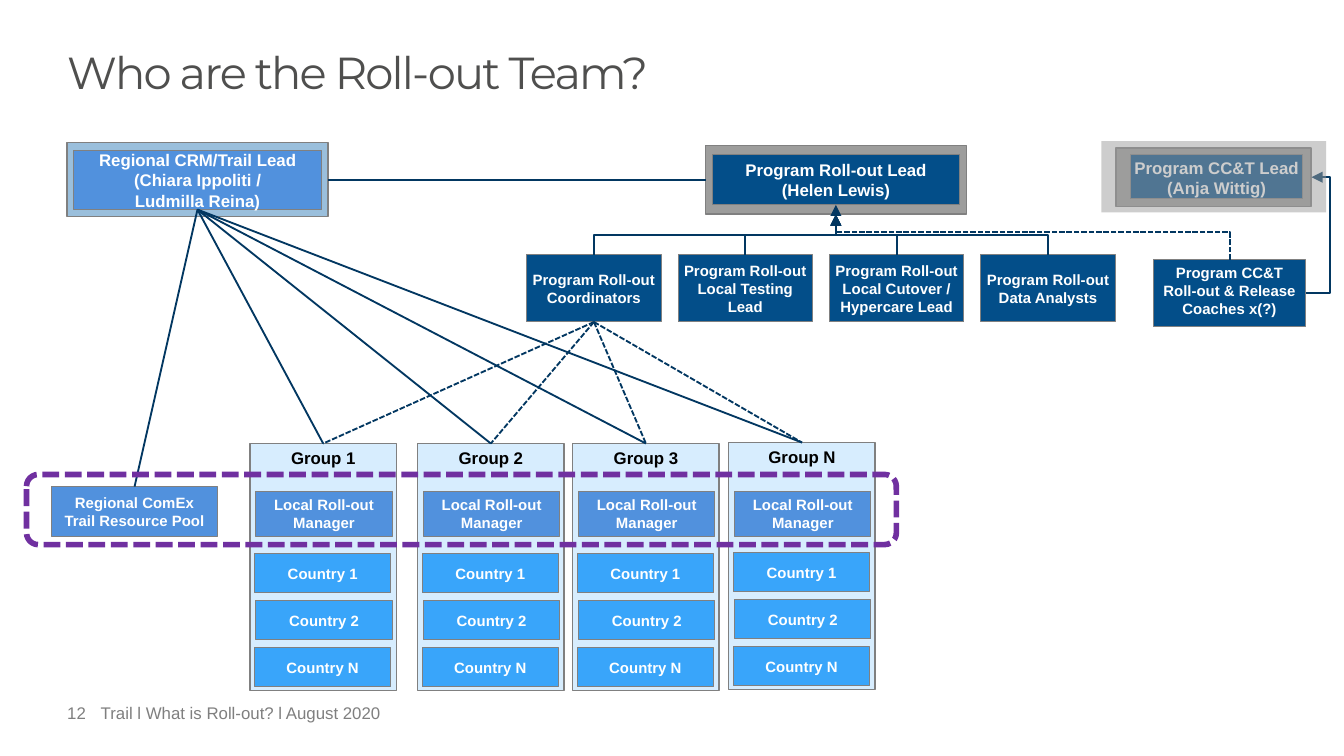
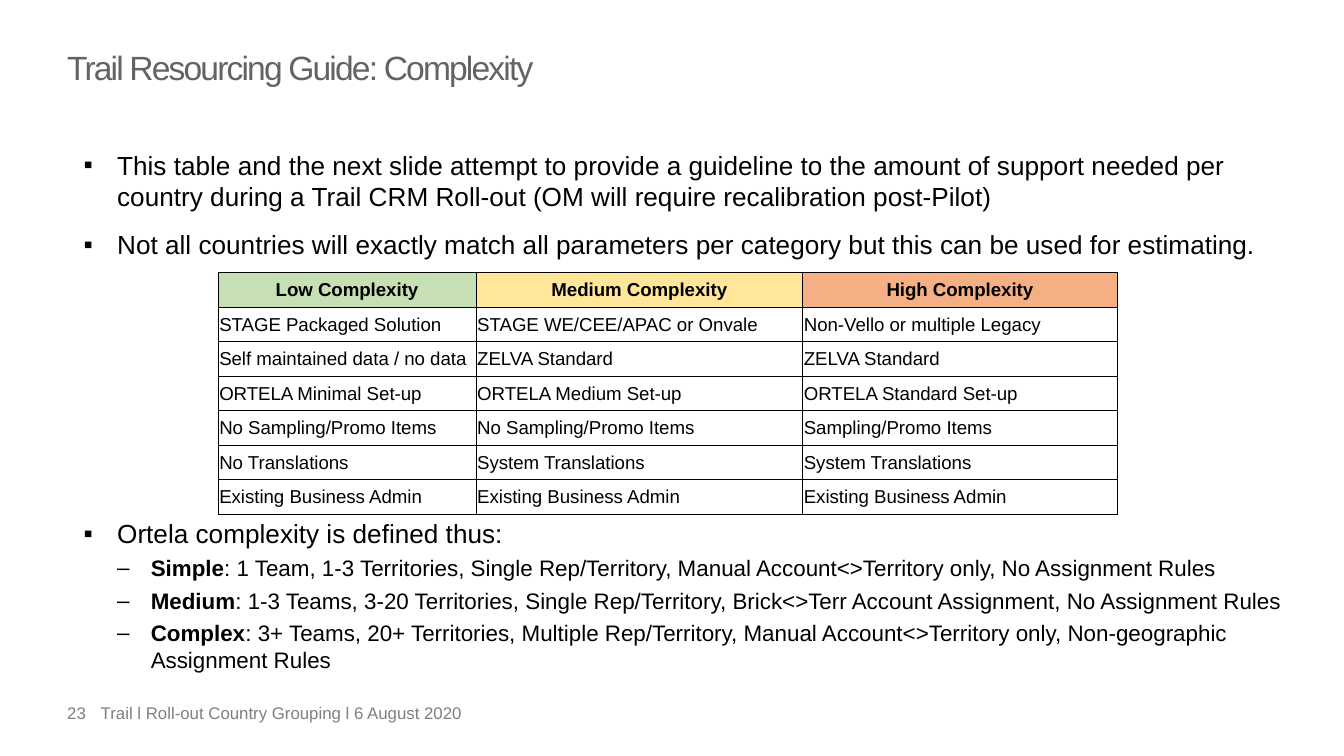
from dataclasses import dataclass

from lxml import etree
from pptx import Presentation
from pptx.dml.color import RGBColor
from pptx.enum import dml, shapes, text
from pptx.oxml import ns
from pptx.util import Pt


@dataclass(frozen=True)
class Theme:
    font: str = "Arial"
    display: str = "Montserrat"
    title: str = "4F4F4E"
    subtitle: str = "636363"
    footer: str = "7F7F7F"
    black: str = "000000"
    white: str = "FFFFFF"
    gray: str = "9D9D9C"
    edge: str = "808080"
    link: str = "023761"
    navy: str = "034E89"
    blue: str = "5191DD"
    haze: str = "9ABFDC"
    sky: str = "39A5FA"
    ice: str = "D7EDFE"
    purple: str = "7030A0"
    low: str = "C6E0B4"
    medium: str = "FFE699"
    high: str = "F4B084"
    title_size: int = 24
    subtitle_size: int = 18
    body_size: int = 14
    detail_size: int = 12
    table_size: int = 10
    lead_size: int = 9
    box_size: int = 8


THEME = Theme()

TEAM_TITLE = "Who are the Roll-out Team?"
TEAM_FOOTER = ("12", "Trail l What is Roll-out? l August 2020")
REGIONAL_LEAD = "Regional CRM/Trail Lead\n(Chiara Ippoliti /\nLudmilla Reina)"
PROGRAM_LEAD = "Program Roll-out Lead\n(Helen Lewis)"
CCT_LEAD = "Program CC&T Lead\n(Anja Wittig)"
COACHES = "Program CC&T Roll-out & Release Coaches x(?)"
POOL = "Regional ComEx\nTrail Resource Pool"
PROGRAM_ROLES = [
    "Program Roll-out\nCoordinators",
    "Program Roll-out\nLocal Testing Lead",
    "Program Roll-out\nLocal Cutover / Hypercare Lead",
    "Program Roll-out\nData Analysts",
]
GROUPS = [
    ("Group 1", 133.9, 237.6),
    ("Group 2", 223.7, 237.6),
    ("Group 3", 306.8, 237.6),
    ("Group N", 390.4, 237.1),
]
MANAGER = "Local Roll-out Manager"
COUNTRIES = [("Country 1", 2.5), ("Country 2", 3.2), ("Country N", 2.5)]

GUIDE_TITLE = "Trail Resourcing Guide: Complexity"
GUIDE_FOOTER = ("23", "Trail l Roll-out Country Grouping l 6 August 2020")
BULLETS = [
    (0, 9, "", "This table and the next slide attempt to provide a guideline to the amount "
     "of support needed per country during a Trail CRM Roll-out "
     "(OM will require recalibration post-Pilot)"),
    (0, 9, "", "Not all countries will exactly match all parameters per category "
     "but this can be used for estimating."),
    (0, 138, "", "Ortela complexity is defined thus:"),
    (1, 3, "Simple", ": 1 Team, 1-3 Territories, Single Rep/Territory, "
     "Manual Account<>Territory only, No Assignment Rules"),
    (1, 3, "Medium", ": 1-3 Teams, 3-20 Territories, Single Rep/Territory, "
     "Brick<>Terr Account Assignment, No Assignment Rules"),
    (1, 3, "Complex", ": 3+ Teams, 20+ Territories, Multiple Rep/Territory, "
     "Manual Account<>Territory only, Non-geographic Assignment Rules"),
]
LEVELS = [("▪", THEME.body_size), ("–", THEME.detail_size)]
COLUMNS = [
    ("Low Complexity", THEME.low, 138.2),
    ("Medium Complexity", THEME.medium, 175),
    ("High Complexity", THEME.high, 168.5),
]
ROWS = [
    ("STAGE Packaged Solution", "STAGE WE/CEE/APAC or Onvale", "Non-Vello or multiple Legacy"),
    ("Self maintained data / no data", "ZELVA Standard", "ZELVA Standard"),
    ("ORTELA Minimal Set-up", "ORTELA Medium Set-up", "ORTELA Standard Set-up"),
    ("No Sampling/Promo Items", "No Sampling/Promo Items", "Sampling/Promo Items"),
    ("No Translations", "System Translations", "System Translations"),
    ("Existing Business Admin", "Existing Business Admin", "Existing Business Admin"),
]
ROW_HEIGHT = 18.5


def rgb(value):
    return RGBColor.from_string(value)


def add_xml(parent, tag, **attributes):
    return etree.SubElement(parent, ns.qn(tag), attributes)


def format_run(run, size, color, bold=False, font=THEME.font):
    run.font.name, run.font.size, run.font.bold = font, Pt(size), bold
    run.font.color.rgb = rgb(color)


def set_margins(target, *margins):
    target.margin_left, target.margin_top, target.margin_right, target.margin_bottom = map(Pt, margins)


def add_label(slide, bounds, content, size, color, font=THEME.font):
    shape = slide.shapes.add_textbox(*map(Pt, bounds))
    frame = shape.text_frame
    frame.word_wrap = True
    set_margins(frame, 0, 0, 0, 0)
    frame.text = content
    format_run(frame.paragraphs[0].runs[0], size, color, font=font)
    return frame.paragraphs[0]


def add_frame(presentation, title, size, color, font, footer):
    slide = presentation.slides.add_slide(presentation.slide_layouts[6])
    paragraph = add_label(slide, (36, 27.4, 648, 75.6), title, size, color, font)
    paragraph.line_spacing = 0.9
    paragraph.runs[0].font._element.set("spc", "-100")
    for content, left, width in zip(footer, (36, 54), (18, 299)):
        add_label(slide, (left, 376.6, width, 18), content, THEME.lead_size, THEME.footer)
    return slide


def add_box(slide, bounds, fill, content="", size=THEME.box_size, color=THEME.white,
            anchor=text.MSO_ANCHOR.MIDDLE, line=0.5):
    shape = slide.shapes.add_shape(shapes.MSO_SHAPE.RECTANGLE, *map(Pt, bounds))
    shape.shadow.inherit = False
    shape.fill.solid()
    shape.fill.fore_color.rgb = rgb(fill)
    if line:
        shape.line.color.rgb, shape.line.width = rgb(THEME.edge), Pt(line)
    else:
        shape.line.fill.background()
    if content:
        frame = shape.text_frame
        frame.word_wrap, frame.vertical_anchor = True, anchor
        set_margins(frame, 2, 2, 2, 2)
        frame.text = content
        for paragraph in frame.paragraphs:
            paragraph.alignment = text.PP_ALIGN.CENTER
            format_run(paragraph.runs[0], size, color, True)
    return shape


def add_line(slide, kind, begin, end, dashed=False, arrow=None):
    line = slide.shapes.add_connector(kind, *map(Pt, (*begin, *end)))
    line.line.color.rgb, line.line.width = rgb(THEME.link), Pt(1)
    if dashed:
        line.line.dash_style = dml.MSO_LINE.SQUARE_DOT
    if arrow:
        add_xml(line.line._get_or_add_ln(), arrow, type="triangle")
    add_xml(line._element.spPr, "a:effectLst")
    return line


def join(slide, first, first_side, second, second_side, dashed=False):
    line = add_line(slide, shapes.MSO_CONNECTOR.STRAIGHT, (0, 0), (0, 0), dashed)
    line.begin_connect(first, first_side)
    line.end_connect(second, second_side)


def add_vertical_elbow(slide, begin, end, dashed=False, arrow=None):
    dx, dy = end[0] - begin[0], end[1] - begin[1]
    middle_x, middle_y = begin[0] + dx / 2, begin[1] + dy / 2
    turn, across, down = (90, dy, -dx) if dx < 0 < dy else (270, -dy, dx)
    line = add_line(slide, shapes.MSO_CONNECTOR.ELBOW,
                    (middle_x - across / 2, middle_y - down / 2),
                    (middle_x + across / 2, middle_y + down / 2), dashed, arrow)
    line._element.spPr.find(ns.qn("a:xfrm")).set("rot", str(turn * 60000))


def add_group(slide, name, left, top):
    high = text.MSO_ANCHOR.TOP
    group = add_box(slide, (left, top, 78.5, 132.5), THEME.ice, name, THEME.lead_size,
                    THEME.black, high, 0.75)
    add_box(slide, (left + 3.2, 263.3, 73, 24), THEME.blue, MANAGER, anchor=high)
    for index, (country, inset) in enumerate(COUNTRIES):
        add_box(slide, (left + inset, top + 59 + 25.2 * index, 73, 21), THEME.sky, country)
    return group


def build_team(presentation):
    slide = add_frame(presentation, TEAM_TITLE, THEME.title_size, THEME.title, THEME.display,
                      TEAM_FOOTER)
    high, lead = text.MSO_ANCHOR.TOP, THEME.lead_size
    add_box(slide, (597.8, 79.2, 104.6, 31.5), THEME.gray, line=0.75)
    program_frame = add_box(slide, (378, 78, 139.7, 36.6), THEME.gray, line=0.75)
    regional_frame = add_box(slide, (36, 76.5, 139.7, 39.6), THEME.haze, line=0.75)
    regional = add_box(slide, (39.4, 80.7, 132.8, 31.6), THEME.blue, REGIONAL_LEAD, lead)
    add_box(slide, (381.6, 82.9, 132.5, 26.6), THEME.navy, PROGRAM_LEAD, lead)
    roles = [add_box(slide, (282.2 + 81.1 * index, 136.5, 72, 36), THEME.navy, role)
             for index, role in enumerate(PROGRAM_ROLES)]
    for index in range(len(roles)):
        add_vertical_elbow(slide, (447.8, 115), (318.2 + 81.1 * index, 136.5), arrow="a:headEnd")
    join(slide, regional_frame, 3, program_frame, 1)

    groups = [add_group(slide, *group) for group in GROUPS]
    pool = add_box(slide, (27.4, 260.7, 89.4, 26.6), THEME.blue, POOL)
    for target in groups + [pool]:
        join(slide, regional, 2, target, 0)
    for group in groups:
        join(slide, roles[0], 2, group, 0, True)
    ring = slide.shapes.add_shape(shapes.MSO_SHAPE.ROUNDED_RECTANGLE,
                                  Pt(14.2), Pt(254.2), Pt(466), Pt(37.6))
    ring.shadow.inherit = False
    ring.fill.background()
    ring.line.color.rgb, ring.line.width = rgb(THEME.purple), Pt(3)
    ring.line.dash_style = dml.MSO_LINE.SQUARE_DOT

    add_box(slide, (618, 139.2, 81.4, 36), THEME.navy, COACHES, anchor=high)
    add_box(slide, (605.6, 82.6, 92.2, 23.8), THEME.navy, CCT_LEAD, lead, anchor=high)
    add_vertical_elbow(slide, (658.8, 139.2), (447.8, 109.8), True, "a:tailEnd")
    side = add_line(slide, shapes.MSO_CONNECTOR.ELBOW, (699.5, 157.2), (702.6, 95),
                    arrow="a:tailEnd")
    guides = side._element.spPr.find(ns.qn("a:prstGeom")).find(ns.qn("a:avLst"))
    if guides is None:
        guides = add_xml(side._element.spPr.find(ns.qn("a:prstGeom")), "a:avLst")
    add_xml(guides, "a:gd", name="adj1", fmla="val 415900")
    veil = add_box(slide, (590, 75.6, 120.4, 38.2), THEME.gray, line=0)
    add_xml(veil._element.spPr.find(ns.qn("a:solidFill"))[0], "a:alpha", val="50000")


def add_bullets(slide):
    frame = slide.shapes.add_textbox(Pt(37.7), Pt(76.3), Pt(668), Pt(290)).text_frame
    frame.word_wrap = True
    for index, (level, gap, heading, content) in enumerate(BULLETS):
        paragraph = frame.add_paragraph() if index else frame.paragraphs[0]
        mark, size = LEVELS[level]
        paragraph.level, paragraph.space_before = level, Pt(gap)
        for words, bold in ((heading, True), (content, False)):
            if words:
                run = paragraph.add_run()
                run.text = words
                format_run(run, size, THEME.black, bold)
        properties = paragraph._p.get_or_add_pPr()
        properties.set("marL", str(Pt(18 * (level + 1))))
        properties.set("indent", str(-Pt(18)))
        add_xml(properties, "a:buFont", typeface=THEME.font)
        add_xml(properties, "a:buChar", char=mark)


def add_borders(cell):
    properties = cell._tc.get_or_add_tcPr()
    for index, side in enumerate("LRTB"):
        line = etree.Element(ns.qn("a:ln" + side), w=str(Pt(0.5)))
        add_xml(add_xml(line, "a:solidFill"), "a:srgbClr", val=THEME.black)
        properties.insert(index, line)


def add_complexity_table(slide):
    headings, fills, widths = zip(*COLUMNS)
    lines = [headings] + ROWS
    table = slide.shapes.add_table(len(lines), len(COLUMNS), Pt(116.8), Pt(146), Pt(sum(widths)),
                                   Pt(ROW_HEIGHT * len(lines))).table
    table.first_row = table.horz_banding = False
    for column, width in zip(table.columns, widths):
        column.width = Pt(width)
    for row_index, line in enumerate(lines):
        table.rows[row_index].height = Pt(ROW_HEIGHT)
        for column_index, content in enumerate(line):
            cell = table.cell(row_index, column_index)
            cell.text = content
            cell.vertical_anchor = text.MSO_ANCHOR.MIDDLE
            set_margins(cell, 0.7, 0.7, 0.7, 0)
            paragraph = cell.text_frame.paragraphs[0]
            heading = row_index == 0
            format_run(paragraph.runs[0], THEME.table_size, THEME.black, heading)
            if heading:
                paragraph.alignment = text.PP_ALIGN.CENTER
                cell.fill.solid()
                cell.fill.fore_color.rgb = rgb(fills[column_index])
            else:
                cell.fill.background()
            add_borders(cell)


def build_guide(presentation):
    slide = add_frame(presentation, GUIDE_TITLE, THEME.subtitle_size, THEME.subtitle, THEME.font,
                      GUIDE_FOOTER)
    add_bullets(slide)
    add_complexity_table(slide)


def main():
    presentation = Presentation()
    presentation.slide_width, presentation.slide_height = Pt(720), Pt(405)
    build_team(presentation)
    build_guide(presentation)
    presentation.save("out.pptx")


if __name__ == "__main__":
    main()
